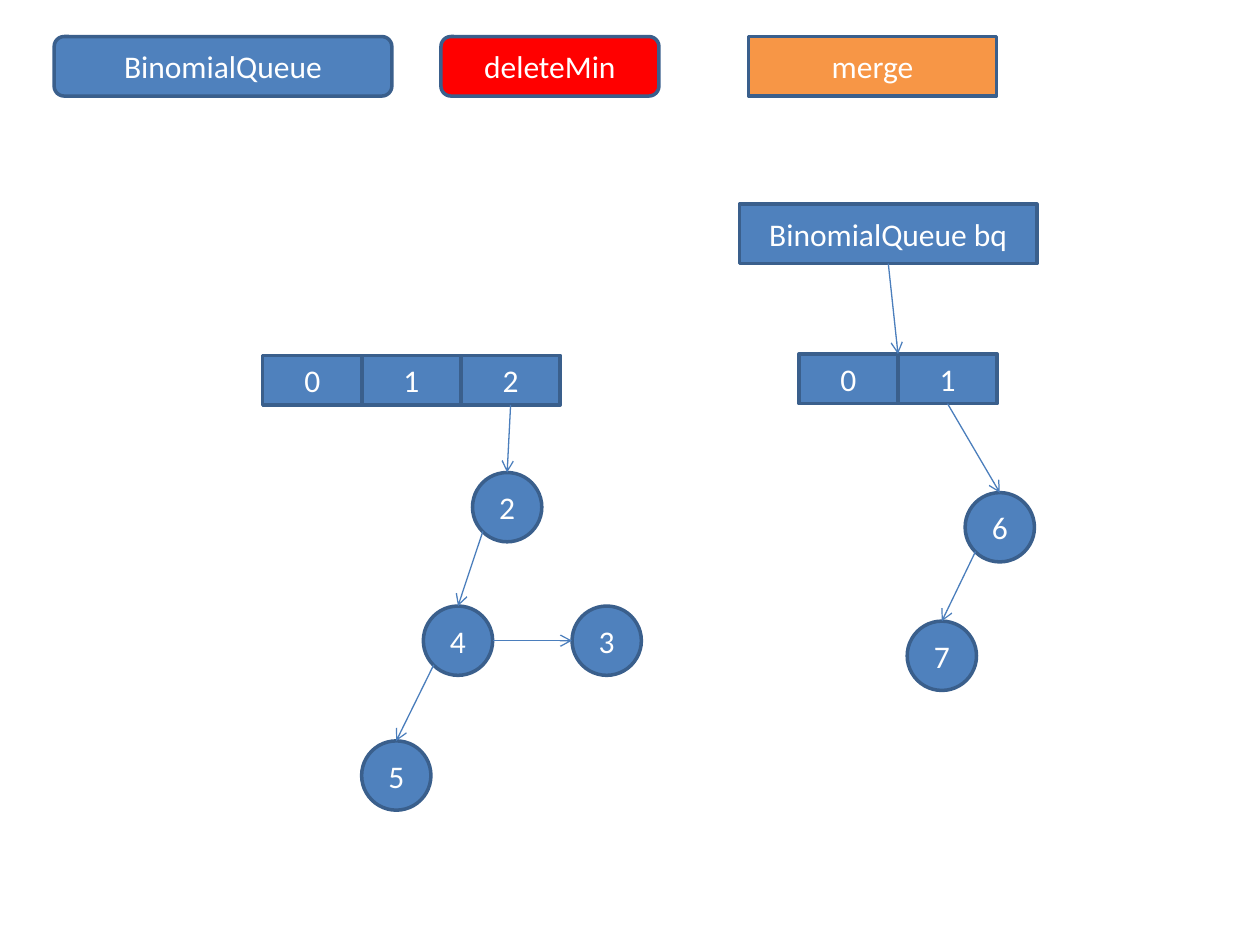
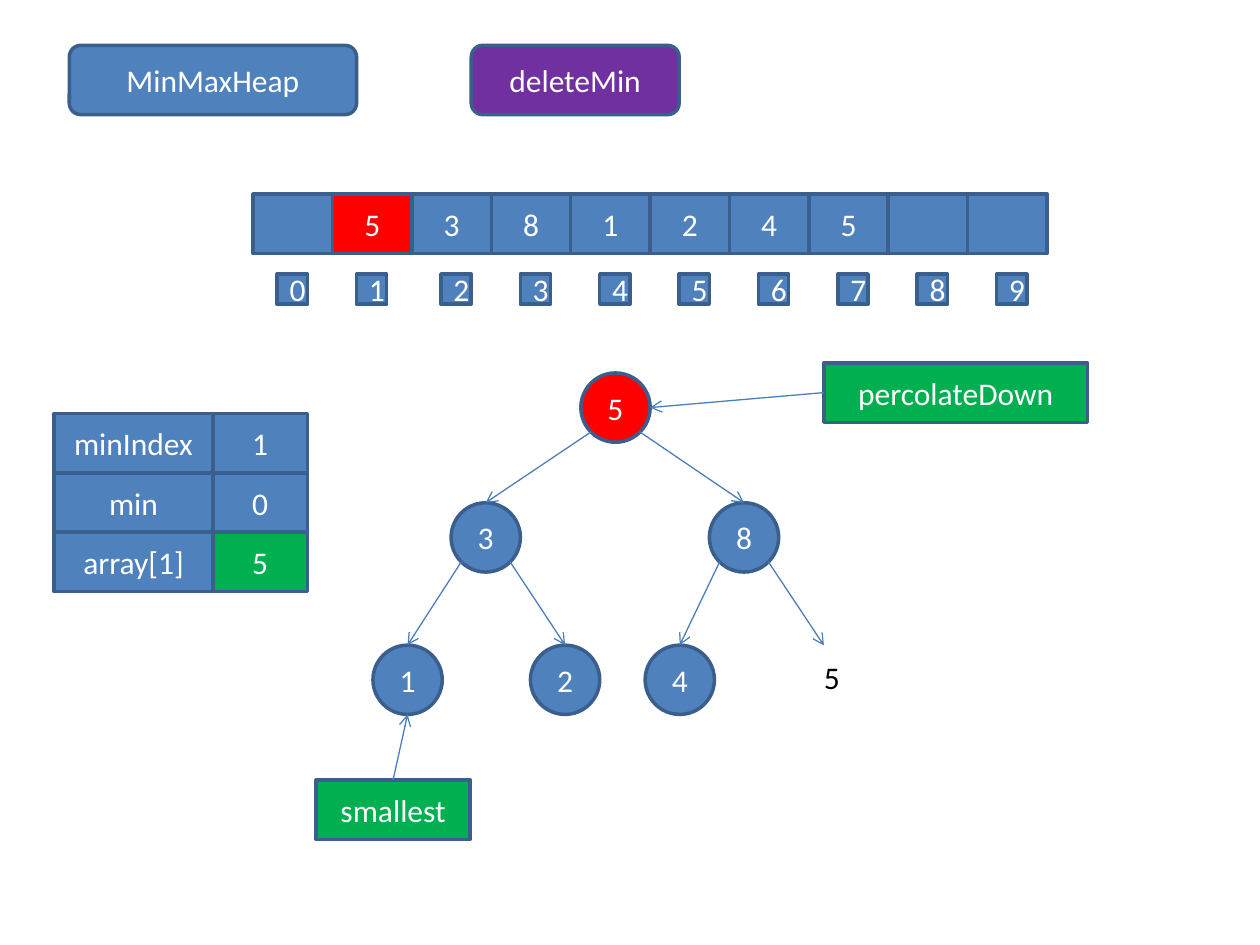
from dataclasses import dataclass
from typing import Sequence

from lxml.etree import SubElement
from pptx import Presentation
from pptx.dml.color import RGBColor
from pptx.enum.shapes import MSO_CONNECTOR as Connector, MSO_SHAPE as Preset
from pptx.enum.text import MSO_ANCHOR as Anchor, PP_ALIGN as Align
from pptx.oxml.ns import qn
from pptx.shapes.autoshape import Shape
from pptx.slide import Slide
from pptx.util import Emu, Inches, Pt

COLUMNS, ROWS = 100, 75
SLIDE_WIDTH, SLIDE_HEIGHT = Inches(10), Inches(7.5)
COLORS = {
    "blue": "4F81BD", "red": "FF0000", "orange": "F79646",
    "purple": "7030A0", "green": "00B050", "border": "3A5F8C",
    "arrow": "4B7EBC", "white": "FFFFFF", "black": "000000",
}
FONT, TEXT_SIZE = "Calibri", Pt(18)
BORDER_WIDTH, ARROW_WIDTH = Pt(2), Pt(0.75)
NODE_SIZE = 5.5
BAR_HEIGHT = 4.72


@dataclass(frozen=True)
class Block:
    """A labelled shape, placed in grid columns and rows."""
    label: str
    column: float
    row: float
    width: float
    height: float = BAR_HEIGHT
    fill: str = "blue"
    preset: Preset = Preset.RECTANGLE


@dataclass(frozen=True)
class Node:
    label: str
    column: float
    row: float
    fill: str = "blue"


@dataclass(frozen=True)
class Site:
    """A point as shares of a shape's box, with its connection number if any."""
    across: float
    down: float
    number: int | None = None


@dataclass(frozen=True)
class Link:
    source: Shape
    leave: Site
    target: Shape
    arrive: Site


TOP, BOTTOM = Site(0.5, 0, 0), Site(0.5, 1, 2)
BOX_LEFT = Site(0, 0.5, 1)
NODE_LEFT, NODE_RIGHT = Site(0, 0.5), Site(1, 0.5)
LOWER_LEFT, LOWER_RIGHT = Site(0.15, 0.85), Site(0.85, 0.85)
TOP_RIGHT_CORNER = Site(1, 0)


def color(name: str) -> RGBColor:
    return RGBColor.from_string(COLORS[name])


def across(columns: float) -> Emu:
    return Emu(round(SLIDE_WIDTH * columns / COLUMNS))


def down(rows: float) -> Emu:
    return Emu(round(SLIDE_HEIGHT * rows / ROWS))


def write_label(shape: Shape, label: str, ink: str) -> None:
    para = shape.text_frame.paragraphs[0]
    para.text = label
    for span in para.runs:
        span.font.name, span.font.size = FONT, TEXT_SIZE
        span.font.color.rgb = color(ink)


def draw_block(page: Slide, block: Block) -> Shape:
    shape = page.shapes.add_shape(
        block.preset, across(block.column), down(block.row),
        across(block.width), down(block.height))
    shape.shadow.inherit = False
    shape.fill.solid()
    shape.fill.fore_color.rgb = color(block.fill)
    shape.line.color.rgb = color("border")
    shape.line.width = BORDER_WIDTH
    write_label(shape, block.label, "white")
    shape.text_frame.vertical_anchor = Anchor.MIDDLE
    shape.text_frame.paragraphs[0].alignment = Align.CENTER
    return shape


def draw_title(page: Slide, label: str, column: float, row: float,
               width: float, height: float, fill: str = "blue") -> None:
    draw_block(page, Block(label, column, row, width, height, fill,
                           Preset.ROUNDED_RECTANGLE))


def draw_cells(page: Slide, labels: Sequence[str], column: float, row: float,
               width: float, height: float, pitch: float | None = None,
               fills: dict[int, str] | None = None) -> list[Shape]:
    """Draw a row of equal cells; they touch unless a pitch is given."""
    return [
        draw_block(page, Block(label, column + i * (pitch or width), row, width,
                               height, (fills or {}).get(i, "blue")))
        for i, label in enumerate(labels)
    ]


def draw_nodes(page: Slide, nodes: Sequence[Node]) -> list[Shape]:
    return [
        draw_block(page, Block(node.label, node.column, node.row, NODE_SIZE,
                               NODE_SIZE, node.fill, Preset.OVAL))
        for node in nodes
    ]


def locate(shape: Shape, site: Site) -> tuple[Emu, Emu]:
    return (Emu(round(shape.left + shape.width * site.across)),
            Emu(round(shape.top + shape.height * site.down)))


def draw_links(page: Slide, links: Sequence[Link]) -> None:
    for link in links:
        arrow = page.shapes.add_connector(
            Connector.STRAIGHT, *locate(link.source, link.leave),
            *locate(link.target, link.arrive))
        if link.leave.number is not None:
            arrow.begin_connect(link.source, link.leave.number)
        if link.arrive.number is not None:
            arrow.end_connect(link.target, link.arrive.number)
        arrow.line.color.rgb = color("arrow")
        arrow.line.width = ARROW_WIDTH
        properties = arrow.element.spPr
        SubElement(properties.find(qn("a:ln")), qn("a:tailEnd"), type="arrow")
        SubElement(properties, qn("a:effectLst"))


def build_binomial_queue(page: Slide) -> None:
    draw_title(page, "BinomialQueue", 4.3, 2.9, 26.8, BAR_HEIGHT)
    draw_title(page, "deleteMin", 35, 2.9, 17.3, BAR_HEIGHT, "red")
    draw_block(page, Block("merge", 59.4, 2.9, 19.7, fill="orange"))

    queue = draw_cells(page, "012", 20.85, 28.2, 7.87, 3.94)
    two, four, three, five = draw_nodes(page, [
        Node("2", 37.5, 37.5), Node("4", 33.6, 48.1),
        Node("3", 45.4, 48.1), Node("5", 28.7, 58.8),
    ])

    merged = draw_block(page, Block("BinomialQueue bq", 58.7, 16.2, 23.6))
    merged_queue = draw_cells(page, "01", 63.4, 28.1, 7.87, 3.94)
    six, seven = draw_nodes(page, [Node("6", 76.6, 39.1), Node("7", 72, 49.3)])

    draw_links(page, [
        Link(queue[2], BOTTOM, two, TOP),
        Link(two, LOWER_LEFT, four, TOP),
        Link(four, NODE_RIGHT, three, NODE_LEFT),
        Link(four, LOWER_LEFT, five, TOP),
        Link(merged, BOTTOM, merged_queue[0], TOP_RIGHT_CORNER),
        Link(merged_queue[1], BOTTOM, six, TOP),
        Link(six, LOWER_LEFT, seven, TOP),
    ])


def build_min_max_heap(page: Slide) -> None:
    draw_title(page, "MinMaxHeap", 5.5, 3.6, 22.8, 5.5)
    draw_title(page, "deleteMin", 37.4, 3.6, 16.5, 5.5, "purple")

    cell_width = 6.3
    draw_cells(page, ["", *"5381245", "", ""], 20.1, 15.4, cell_width,
               BAR_HEIGHT, fills={1: "red"})
    for indexes, column in (("01", 22), ("23456789", 35)):
        draw_cells(page, indexes, column, 21.75, 2.4, 2.4, cell_width)

    variables = [("minIndex", "1", "blue"), ("min", "0", "blue"),
                 ("array[1]", "5", "green")]
    for i, (name, value, fill) in enumerate(variables):
        row = 32.8 + i * BAR_HEIGHT
        draw_block(page, Block(name, 4.3, row, 12.6))
        draw_block(page, Block(value, 16.9, row, 7.5, fill=fill))

    root, three, eight, one, two, four = draw_nodes(page, [
        Node("5", 46.1, 29.6, "red"),
        Node("3", 35.8, 39.9), Node("8", 56.3, 39.9),
        Node("1", 29.6, 51.2), Node("2", 42.1, 51.2), Node("4", 51.2, 51.2),
    ])
    last = page.shapes.add_textbox(across(64.4), down(51.7), across(3.3), down(4))
    last.text_frame.word_wrap = False
    write_label(last, "5", "black")

    percolate = draw_block(page, Block("percolateDown", 65.4, 28.8, 20.9, fill="green"))
    smallest = draw_block(page, Block("smallest", 25.1, 61.9, 12.2, fill="green"))

    draw_links(page, [
        Link(root, LOWER_LEFT, three, TOP),
        Link(root, LOWER_RIGHT, eight, TOP),
        Link(three, LOWER_LEFT, one, TOP),
        Link(three, LOWER_RIGHT, two, TOP),
        Link(eight, LOWER_LEFT, four, TOP),
        Link(eight, LOWER_RIGHT, last, Site(0.3, -0.12)),
        Link(percolate, BOX_LEFT, root, NODE_RIGHT),
        Link(smallest, TOP, one, Site(0.5, 1)),
    ])


def main() -> None:
    deck = Presentation()
    deck.slide_width, deck.slide_height = SLIDE_WIDTH, SLIDE_HEIGHT
    for build in (build_binomial_queue, build_min_max_heap):
        build(deck.slides.add_slide(deck.slide_layouts[6]))
    deck.save("out.pptx")


if __name__ == "__main__":
    main()
